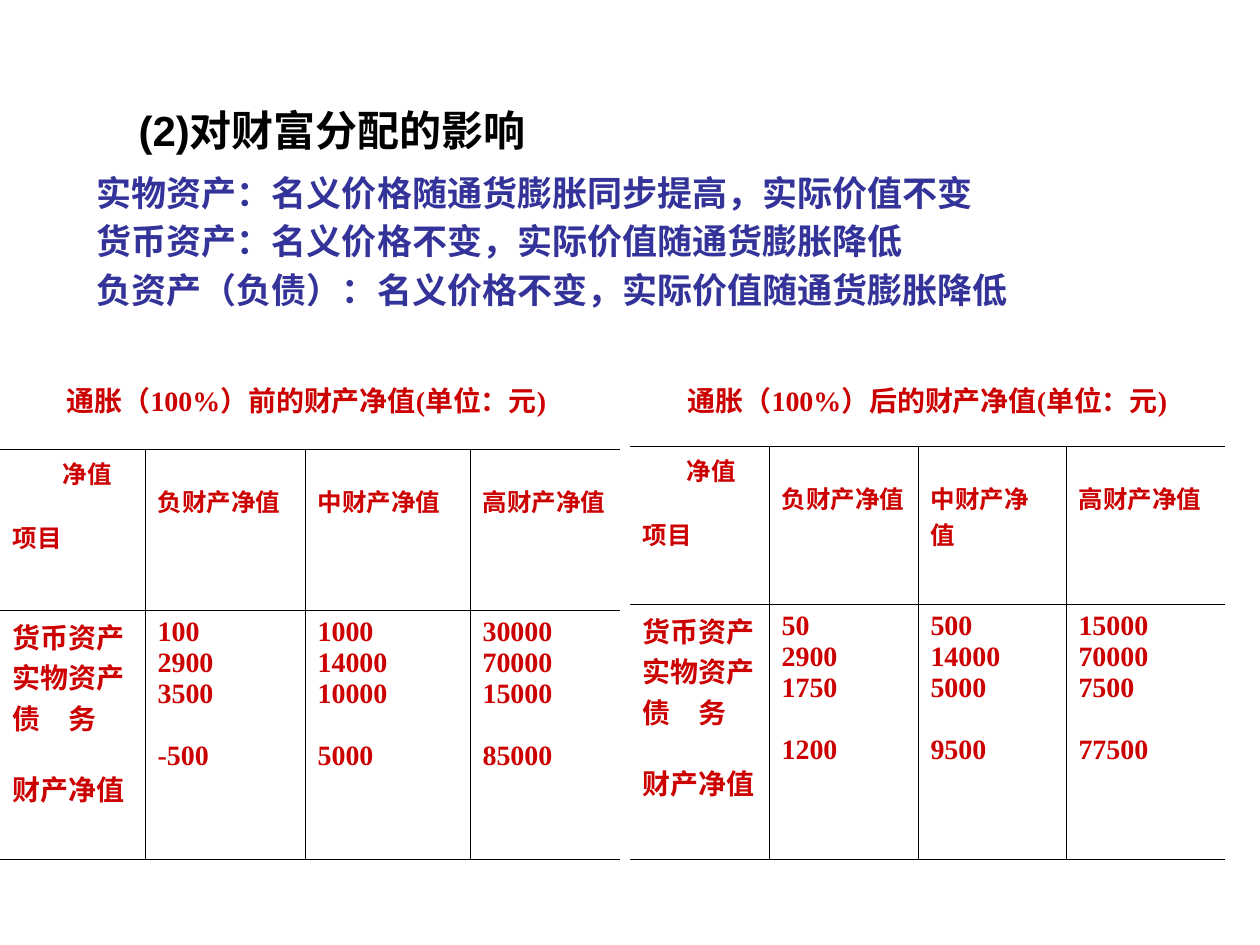
import lxml.etree
import pptx
import pptx.dml.color
import pptx.enum.text
import pptx.oxml.ns
import pptx.util

PX_PER_INCH = 126
LEFT = pptx.enum.text.PP_ALIGN.LEFT
CENTER = pptx.enum.text.PP_ALIGN.CENTER
TOP = pptx.enum.text.MSO_ANCHOR.TOP
MIDDLE = pptx.enum.text.MSO_ANCHOR.MIDDLE


def px(n):
    return pptx.util.Emu(round(n * 914400 / PX_PER_INCH))


def color(value):
    return pptx.dml.color.RGBColor.from_string(value)


def add_element(parent, tag, **attrs):
    return lxml.etree.SubElement(parent, pptx.oxml.ns.qn(tag), **attrs)


class SlideBuilder:
    """Holds the text styles and the current slide, and adds each kind of element."""

    STYLES = {
        "title": {"name": "Arial", "size": 24, "color": "000000"},
        "body": {"name": "Times New Roman", "size": 20, "color": "333399"},
        "header": {"name": "Times New Roman", "size": 14, "color": "CC0000"},
        "cell": {"name": "Times New Roman", "size": 16, "color": "CC0000"},
    }

    def __init__(self, s):
        self.s = s

    def paragraphs(self, tf, lines, style, **formats):
        look = self.STYLES[style]
        font = {"name": look["name"], "size": pptx.util.Pt(look["size"]), "bold": True}
        for i, line in enumerate(lines):
            p = tf.paragraphs[0] if i == 0 else tf.add_paragraph()
            for key, value in formats.items():
                setattr(p, key, value)
            r = p.add_run()
            r.text = line
            for key, value in font.items():
                setattr(r.font, key, value)
            r.font.color.rgb = color(look["color"])
        return tf.paragraphs

    def place(self, sp, box, anchor):
        sp.left, sp.top, sp.width, sp.height = map(px, box)
        frame = {"word_wrap": True, "vertical_anchor": anchor,
                 "auto_size": pptx.enum.text.MSO_AUTO_SIZE.NONE}
        for key, value in frame.items():
            setattr(sp.text_frame, key, value)
        return sp.text_frame

    def title(self, text, box):
        tf = self.place(self.s.shapes.title, box, MIDDLE)
        self.paragraphs(tf, [text], "title", alignment=LEFT)

    def body(self, lines, box):
        tf = self.place(self.s.placeholders[1], box, TOP)
        gap = pptx.util.Pt(8.5)
        for p in self.paragraphs(tf, lines, "body", line_spacing=0.8, space_before=gap):
            pPr = p._p.get_or_add_pPr()
            pPr.set("marL", "0")
            pPr.set("indent", "0")
            add_element(pPr, "a:buNone")
        tf.paragraphs[0].space_before = pptx.util.Pt(0)

    def borders(self, cell, visible):
        tcPr = cell._tc.get_or_add_tcPr()
        for side in "LRTB":
            ln = add_element(tcPr, f"a:ln{side}", w=str(pptx.util.Pt(0.45)))
            if side in visible:
                add_element(add_element(ln, "a:solidFill"), "a:srgbClr", val="000000")
            else:
                add_element(ln, "a:noFill")
        cell.fill.background()

    def table(self, left, top, widths, heights, caption, indent, columns):
        table = self.s.shapes.add_table(
            len(heights), len(widths), px(left), px(top),
            px(sum(widths)), px(sum(heights))).table
        table.first_row = table.horz_banding = False
        for column, width in zip(table.columns, widths):
            column.width = px(width)
        for row, height in zip(table.rows, heights):
            row.height = px(height)
        last = len(widths) - 1
        for r in range(len(heights)):
            for c in range(len(widths)):
                inner = ("L" if c else "") + ("R" if c < last else "")
                self.borders(table.cell(r, c), "TB" + inner if r else "B")

        table.cell(0, 0).merge(table.cell(0, last))
        self.paragraphs(table.cell(0, 0).text_frame, [caption], "cell", alignment=CENTER)
        corner = self.paragraphs(table.cell(1, 0).text_frame, ["净值", "项目"], "header")
        corner[0]._p.get_or_add_pPr().set("marL", str(px(indent)))
        corner[1].space_before = pptx.util.Pt(16)
        for c, heading in enumerate(["负财产净值", "中财产净值", "高财产净值"], 1):
            cell = table.cell(1, c)
            cell.margin_top = px(34)
            self.paragraphs(cell.text_frame, [heading], "header")
        labels = ["货币资产", "实物资产", "债　务", "财产净值"]
        for c, lines in enumerate([labels] + columns):
            rows = self.paragraphs(table.cell(2, c).text_frame, map(str, lines), "cell")
            rows[-1].space_before = pptx.util.Pt(17.7)


def main():
    prs = pptx.Presentation()
    prs.slide_width, prs.slide_height = px(1260), px(945)
    slide = SlideBuilder(prs.slides.add_slide(prs.slide_layouts[1]))
    slide.title("(2)对财富分配的影响", (126, 100, 1072, 60))
    slide.body([
        "实物资产：名义价格随通货膨胀同步提高，实际价值不变",
        "货币资产：名义价格不变，实际价值随通货膨胀降低",
        "负资产（负债）：名义价格不变，实际价值随通货膨胀降低",
    ], (84, 173, 1176, 158))
    slide.table(
        0, 373, [145, 160, 165, 150], [76, 161, 249],
        "通胀（100%）前的财产净值(单位：元) ", 50,
        [[100, 2900, 3500, -500], [1000, 14000, 10000, 5000],
         [30000, 70000, 15000, 85000]])
    slide.table(
        630, 373, [139, 149, 148, 159], [73, 158, 255],
        "通胀（100%）后的财产净值(单位：元)", 44,
        [[50, 2900, 1750, 1200], [500, 14000, 5000, 9500],
         [15000, 70000, 7500, 77500]])
    prs.save("out.pptx")


if __name__ == "__main__":
    main()
